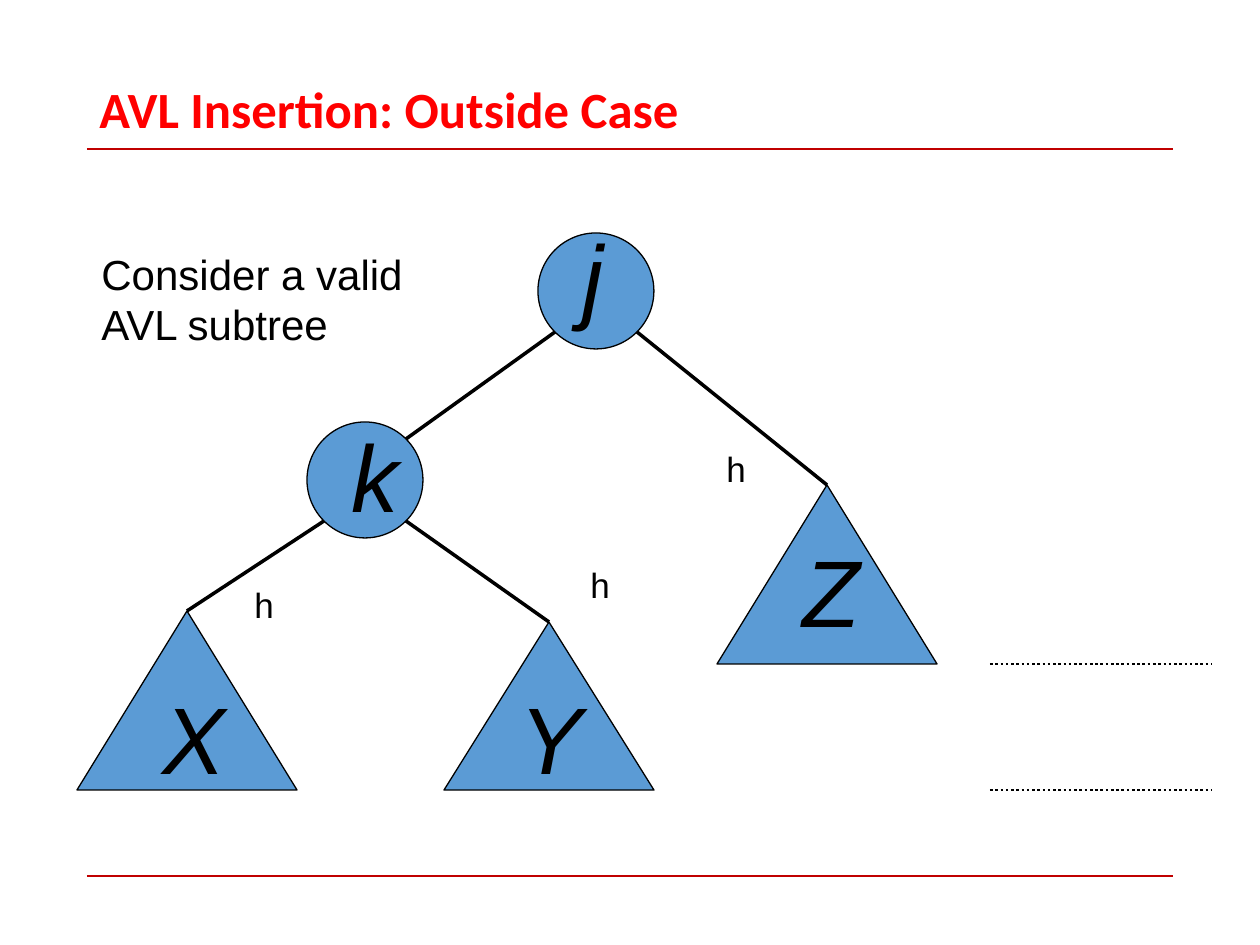
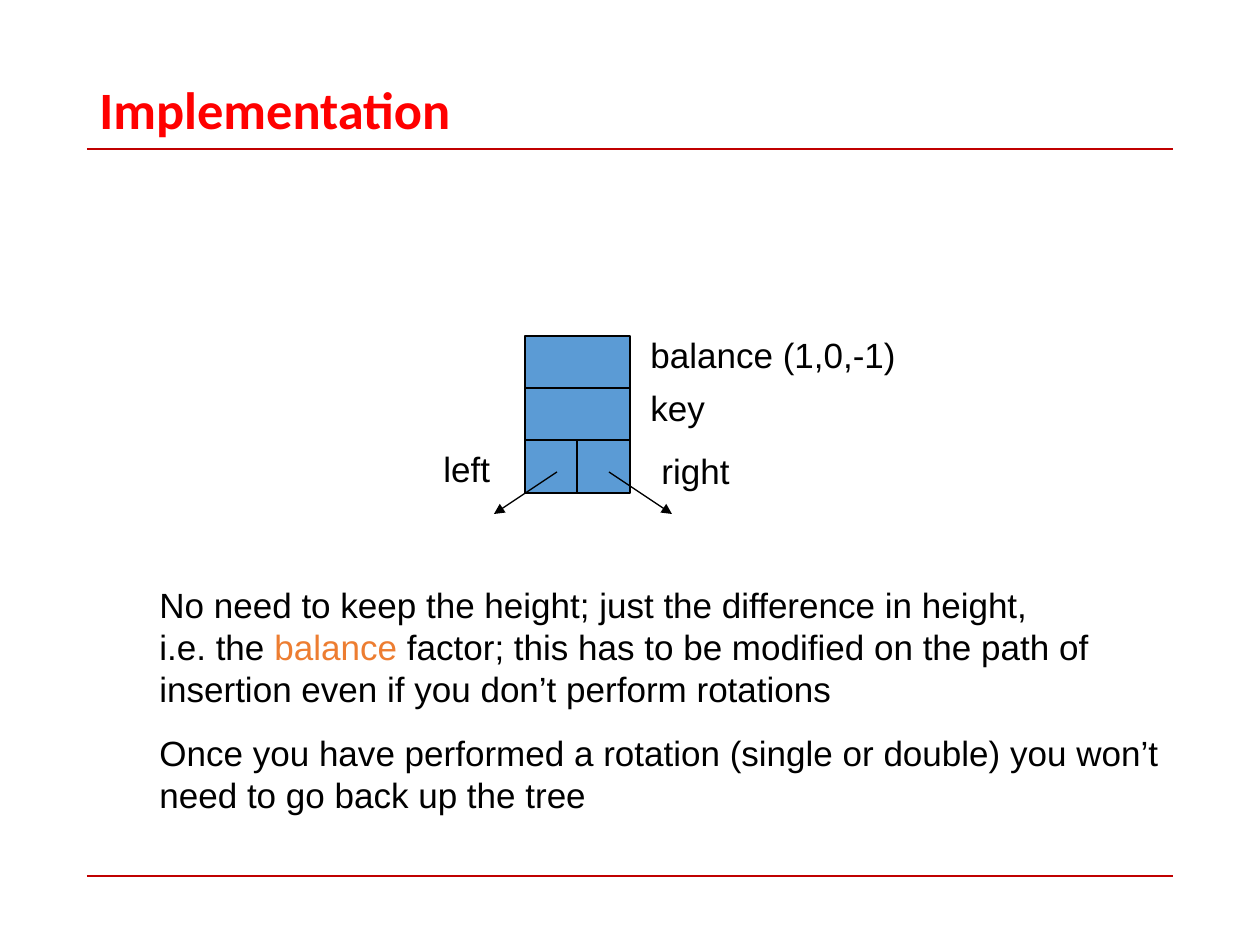
from lxml.etree import SubElement
from pptx import Presentation
from pptx.dml.color import RGBColor
from pptx.enum.dml import MSO_LINE
from pptx.enum.shapes import MSO_CONNECTOR, MSO_SHAPE
from pptx.enum.text import MSO_ANCHOR, MSO_AUTO_SIZE, PP_ALIGN
from pptx.oxml.ns import qn
from pptx.util import Pt

EMU_PER_PX = 914400 / 126
PAGE_WIDTH, PAGE_HEIGHT = 1260, 945
RED, RULE_RED, BLUE, ORANGE, BLACK = "FF0000", "C00000", "5B9BD5", "ED7D31", "000000"
NODE_SIZE = 116
NODE_CORNER = 41  # offset from a node's centre to its 45 degree points


def px(*lengths):
    return [round(length * EMU_PER_PX) for length in lengths]


def colour(code):
    return RGBColor.from_string(code)


# Elements

def add_line(page, start, end, width, code=BLACK, dotted=False, arrow=False):
    line = page.shapes.add_connector(MSO_CONNECTOR.STRAIGHT, *px(*start, *end))
    line.line.width = Pt(width)
    line.line.color.rgb = colour(code)
    if dotted:
        line.line.dash_style = MSO_LINE.ROUND_DOT
    if arrow:
        SubElement(line.line._get_or_add_ln(), qn("a:tailEnd"), type="triangle")
    SubElement(line._element.spPr, qn("a:effectLst"))
    return line


def add_shape(page, kind, left, top, width, height):
    shape = page.shapes.add_shape(kind, *px(left, top, width, height))
    shape.shadow.inherit = False
    shape.fill.solid()
    shape.fill.fore_color.rgb = colour(BLUE)
    shape.line.color.rgb = colour(BLACK)
    shape.line.width = Pt(0.75)
    return shape


def add_span(para, text, size, code=BLACK, font="Arial", bold=False, italic=False):
    span = para.add_run()
    span.text = text
    span.font.name = font
    span.font.size = Pt(size)
    span.font.bold = bold
    span.font.italic = italic
    span.font.color.rgb = colour(code)


def add_box(page, left, top, width, height):
    box = page.shapes.add_textbox(*px(left, top, width, height))
    box.text_frame.word_wrap = True
    box.text_frame.auto_size = MSO_AUTO_SIZE.SHAPE_TO_FIT_TEXT
    box.text_frame.paragraphs[0].alignment = PP_ALIGN.LEFT
    return box.text_frame


def add_label(page, text, left, top, width):
    frame = add_box(page, left, top, width, 55)
    add_span(frame.paragraphs[0], text, 20)


def add_letter(page, letter, left, top):
    frame = add_box(page, left, top, 70, 126)
    add_span(frame.paragraphs[0], letter, 54, italic=True)


def add_node(page, left, top):
    """Draw a round tree node and return its centre."""
    add_shape(page, MSO_SHAPE.OVAL, left, top, NODE_SIZE, NODE_SIZE)
    return left + NODE_SIZE // 2, top + NODE_SIZE // 2


def node_corner(centre, across, down):
    return centre[0] + across * NODE_CORNER, centre[1] + down * NODE_CORNER


def add_subtree(page, node, side, left, top, width, height):
    """Draw a triangular subtree hanging from one side of a node."""
    triangle = add_shape(page, MSO_SHAPE.ISOSCELES_TRIANGLE, left, top, width, height)
    edge = add_line(page, node_corner(node, side, 1), (left + width // 2, top), 2)
    edge.end_connect(triangle, 0)


# Pages

def add_page(deck, title, title_size):
    page = deck.slides.add_slide(deck.slide_layouts[6])
    for y in (149, 876):
        add_line(page, (87, y), (1173, y), 1.5, RULE_RED)
    frame = add_box(page, 87, 76, 1087, 73)
    frame.auto_size = MSO_AUTO_SIZE.NONE
    frame.vertical_anchor = MSO_ANCHOR.MIDDLE
    para = frame.paragraphs[0]
    para.line_spacing = 0.9
    add_span(para, title, title_size, RED, "Calibri", bold=True)
    return page


def build_outside_case(deck):
    page = add_page(deck, "AVL Insertion: Outside Case", 29)

    # Tree
    j_node = add_node(page, 538, 233)
    k_node = add_node(page, 307, 422)
    add_line(page, node_corner(j_node, -1, 1), node_corner(k_node, 1, -1), 2)
    add_subtree(page, k_node, -1, 77, 611, 220, 179)
    add_subtree(page, k_node, 1, 444, 622, 210, 168)
    add_subtree(page, j_node, 1, 717, 485, 220, 179)
    for letter, left, top in (("j", 570, 212), ("k", 339, 412), ("X", 150, 674),
                              ("Y", 507, 674), ("Z", 790, 527)):
        add_letter(page, letter, left, top)

    # Heights
    for left, top in ((714, 441), (242, 577), (578, 557)):
        add_label(page, "h", left, top, 50)
    for y in (664, 790):
        add_line(page, (990, y), (1211, y), 1.5, dotted=True)

    # Caption
    frame = add_box(page, 89, 242, 336, 113)
    add_span(frame.paragraphs[0], "Consider a valid", 24)
    add_span(frame.add_paragraph(), "AVL subtree", 24)


def build_implementation(deck):
    page = add_page(deck, "Implementation", 30)

    # Node record: two full rows above two half cells
    left, top, cell = 525, 336, 105 // 2
    for column, row, span in ((0, 0, 2), (0, 1, 2), (0, 2, 1), (1, 2, 1)):
        add_shape(page, MSO_SHAPE.RECTANGLE, left + column * cell, top + row * cell,
                  span * cell + 1, cell + 1)
    for start, end in ((557, 494), (609, 672)):
        add_line(page, (start, 472), (end, 514), 0.75, arrow=True)
    for text, x, y, width in (("balance (1,0,-1)", 638, 327, 285), ("key", 638, 380, 95),
                              ("right", 649, 443, 105), ("left", 431, 441, 85)):
        add_label(page, text, x, y, width)

    # Explanation
    frame = add_box(page, 147, 577, 1040, 244)
    para = frame.paragraphs[0]
    add_span(para, "No need to keep the height; just the difference in height,", 20)
    para.add_line_break()
    add_span(para, "i.e. the ", 20)
    add_span(para, "balance", 20, ORANGE)
    add_span(para, " factor; this has to be modified on the path of insertion "
                   "even if you don’t perform rotations", 20)
    closing = frame.add_paragraph()
    add_span(closing, "Once you have performed a rotation (single or double) "
                      "you won’t need to go back up the tree", 20)
    for para in frame.paragraphs:
        para.space_before = Pt(12.5)


def main():
    deck = Presentation()
    deck.slide_width, deck.slide_height = px(PAGE_WIDTH, PAGE_HEIGHT)
    build_outside_case(deck)
    build_implementation(deck)
    deck.save("out.pptx")


if __name__ == "__main__":
    main()
